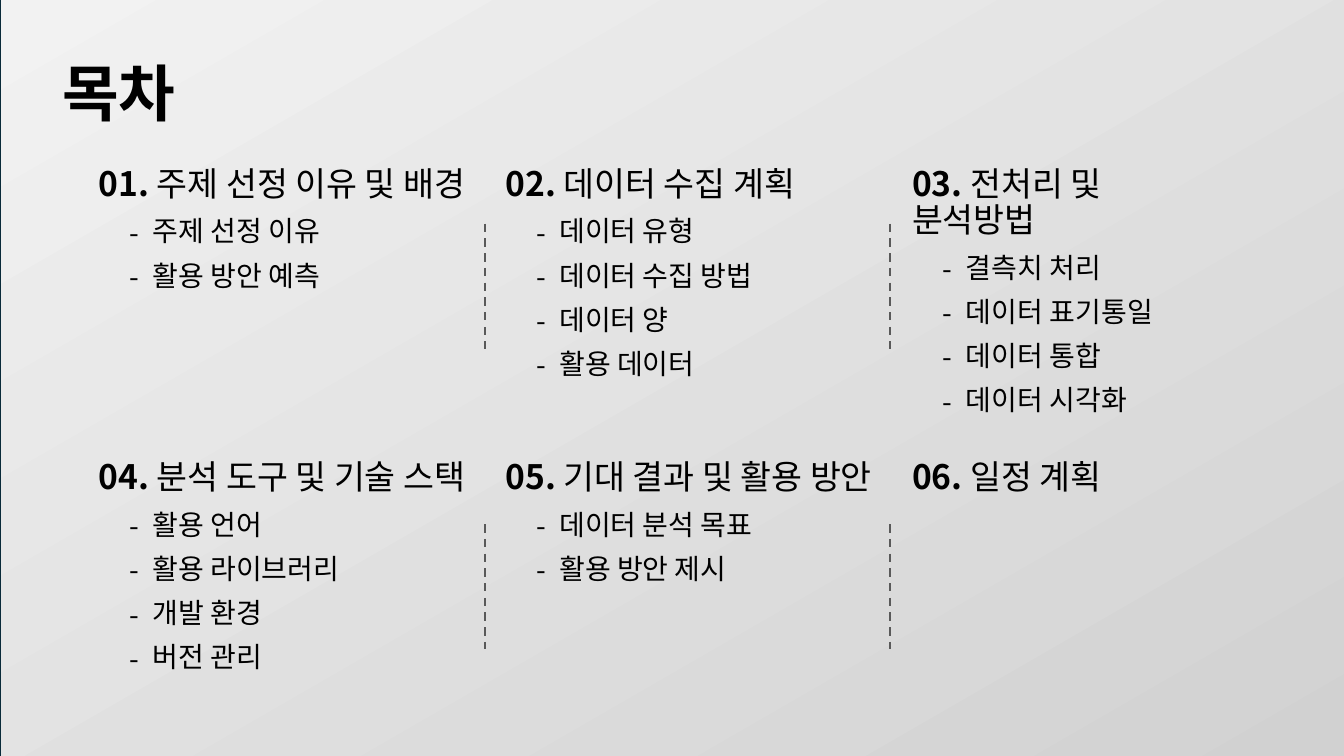
from dataclasses import dataclass

from lxml.etree import SubElement
from pptx import Presentation
from pptx.dml.color import RGBColor
from pptx.enum.dml import MSO_LINE
from pptx.enum.shapes import MSO_CONNECTOR, MSO_SHAPE
from pptx.enum.text import MSO_ANCHOR
from pptx.oxml.ns import qn
from pptx.slide import Slide
from pptx.text.text import TextFrame, _Paragraph
from pptx.util import Pt


@dataclass(frozen=True)
class Theme:
    face: str = "Noto Sans CJK KR"
    ink: str = "000000"
    rule: str = "595959"
    edge: str = "092A39"
    base: str = "E8E8E8"
    dark: str = "D1D1D1"
    light: str = "F2F2F2"
    title: int = 44
    head: int = 24
    item: int = 20


@dataclass(frozen=True)
class Topic:
    head: str
    items: tuple[str, ...]
    height: float
    width: float = 276


THEME = Theme()
TOPICS = (
    Topic("주제 선정 이유 및 배경", ("주제 선정 이유", "활용 방안 예측"), 183),
    Topic("데이터 수집 계획",
          ("데이터 유형", "데이터 수집 방법", "데이터 양", "활용 데이터"), 189),
    Topic("전처리 및 분석방법",
          ("결측치 처리", "데이터 표기통일", "데이터 통합", "데이터 시각화"), 189, 239),
    Topic("분석 도구 및 기술 스택",
          ("활용 언어", "활용 라이브러리", "개발 환경", "버전 관리"), 214.5),
    Topic("기대 결과 및 활용 방안", ("데이터 분석 목표", "활용 방안 제시"), 183),
    Topic("일정 계획", (), 39),
)
COLS = 3
LEFT, PITCH = 63.4, 290.5
TOPS = (116, 325.5)
RULE_LEFT, RULE_PITCH, RULE_LEN = 346.3, 289.5, 89.3
RULE_TOPS = (159.8, 374.4)


def color(code: str) -> RGBColor:
    return RGBColor.from_string(code)


def add_run(para: _Paragraph, text: str, size: int, bold: bool = False) -> None:
    run = para.add_run()
    run.text = text
    form = {"name": THEME.face, "size": Pt(size), "bold": bold}
    for key, value in form.items():
        setattr(run.font, key, value)
    run.font.color.rgb = color(THEME.ink)
    SubElement(run._r.get_or_add_rPr(), qn("a:ea"), typeface=THEME.face)


def add_box(slide: Slide, left: float, top: float,
            width: float, height: float) -> TextFrame:
    box = slide.shapes.add_textbox(Pt(left), Pt(top), Pt(width), Pt(height))
    box.text_frame.word_wrap = True
    box.text_frame.paragraphs[0].line_spacing = 0.9
    return box.text_frame


def add_item(frame: TextFrame, text: str) -> None:
    """Add a paragraph with a hanging dash as its bullet."""
    para = frame.add_paragraph()
    para.line_spacing = 0.9
    para.space_before = Pt(10)
    props = para._p.get_or_add_pPr()
    props.set("marL", str(Pt(38.5)))
    props.set("indent", str(Pt(-16.5)))
    SubElement(props, qn("a:buFont"), typeface=THEME.face)
    SubElement(props, qn("a:buChar"), char="-")
    add_run(para, text, THEME.item)


def add_topic(slide: Slide, index: int, topic: Topic) -> None:
    row, col = divmod(index, COLS)
    frame = add_box(slide, LEFT + col * PITCH, TOPS[row], topic.width, topic.height)
    head = frame.paragraphs[0]
    add_run(head, f"{index + 1:02}. ", THEME.head, True)
    add_run(head, topic.head, THEME.head)
    for item in topic.items:
        add_item(frame, item)


def add_rule(slide: Slide, left: float, top: float) -> None:
    rule = slide.shapes.add_connector(
        MSO_CONNECTOR.STRAIGHT, Pt(left), Pt(top), Pt(left), Pt(top + RULE_LEN))
    rule.line.color.rgb = color(THEME.rule)
    rule.line.width = Pt(1.5)
    rule.line.dash_style = MSO_LINE.DASH
    SubElement(rule._element.spPr, qn("a:effectLst"))


def add_back(slide: Slide) -> None:
    fill = slide.background.fill
    fill.solid()
    fill.fore_color.rgb = color(THEME.base)
    back = slide.shapes.add_shape(
        MSO_SHAPE.RECTANGLE, Pt(0), Pt(-5), Pt(967.7), Pt(551.5))
    back.shadow.inherit = False
    back.fill.gradient()
    back.fill.gradient_angle = 120
    for stop, code in zip(back.fill.gradient_stops, (THEME.dark, THEME.light)):
        stop.color.rgb = color(code)
    back.line.color.rgb = color(THEME.edge)
    back.line.width = Pt(1.5)


def main() -> None:
    deck = Presentation()
    deck.slide_width, deck.slide_height = Pt(960), Pt(540)
    slide = deck.slides.add_slide(deck.slide_layouts[6])
    add_back(slide)
    title = add_box(slide, 37.4, 38.2, 908.6, 61.2)
    title.vertical_anchor = MSO_ANCHOR.MIDDLE
    add_run(title.paragraphs[0], "목차", THEME.title, True)
    for index, topic in enumerate(TOPICS):
        add_topic(slide, index, topic)
    for top in RULE_TOPS:
        for col in range(COLS - 1):
            add_rule(slide, RULE_LEFT + col * RULE_PITCH, top)
    deck.save("out.pptx")


if __name__ == "__main__":
    main()
